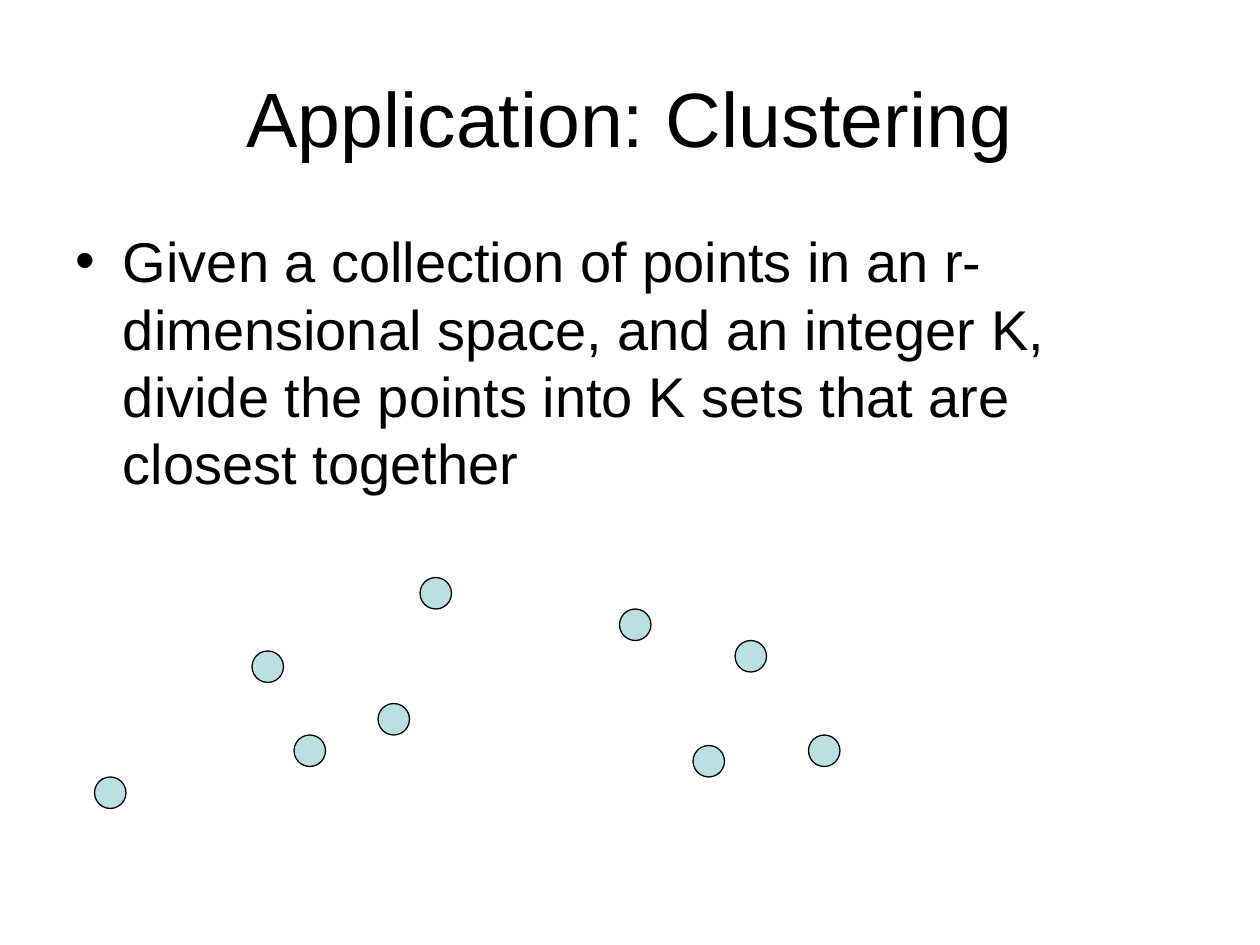
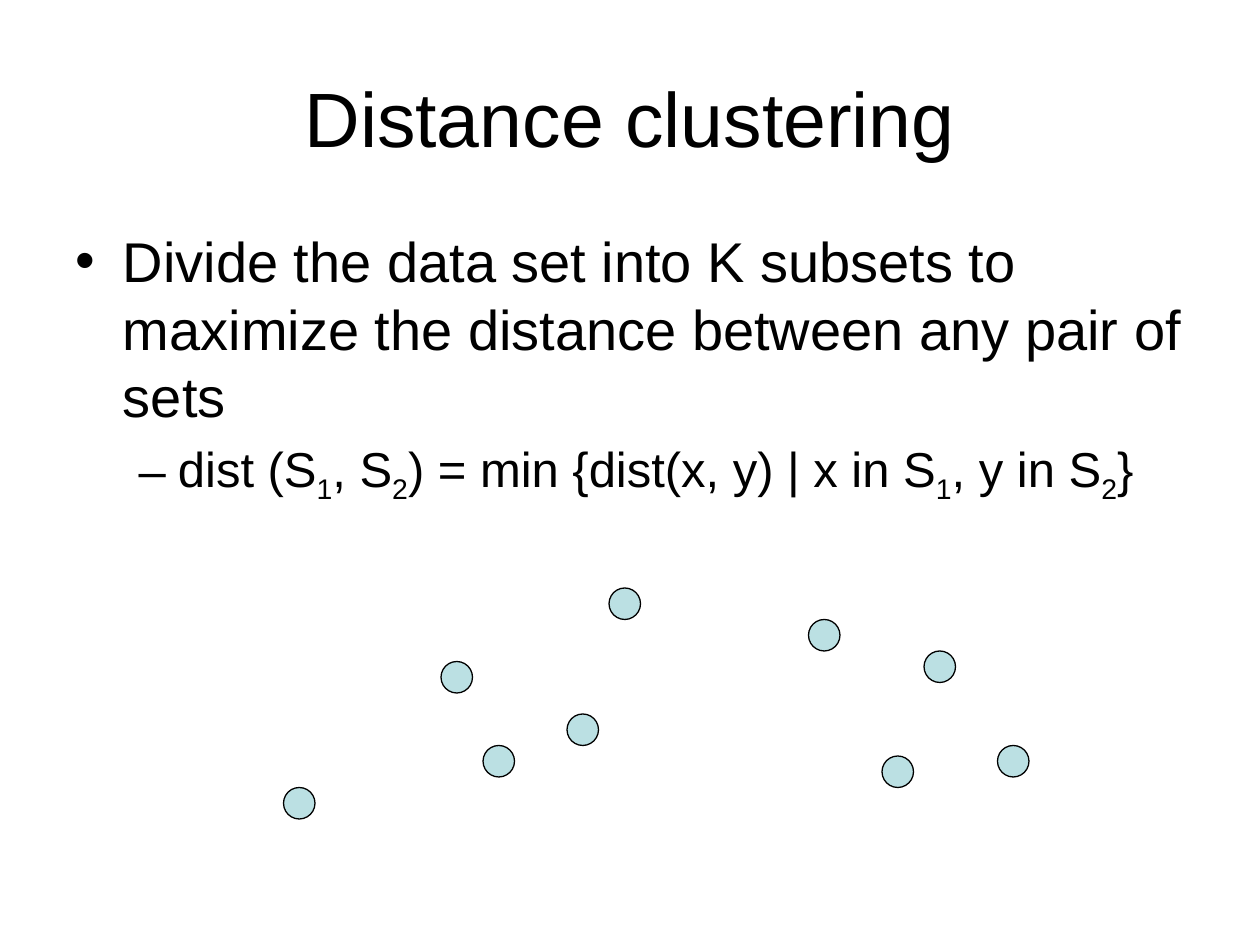
from dataclasses import dataclass

from pptx import Presentation
from pptx import util as u
from pptx.dml.color import RGBColor
from pptx.enum import shapes, text


@dataclass(frozen=True)
class Theme:
    font: str = "Arial"
    ink: RGBColor = RGBColor(0, 0, 0)
    dot: RGBColor = RGBColor(0xBB, 0xE0, 0xE3)
    title_size: int = 44
    body_sizes: tuple = (32, 28)  # by list level
    line_width: float = 0.75


THEME = Theme()
GRID = 12  # grid steps per inch
DOT_SIZE = 0.25

# Top left corners of the data points, in grid steps
POINTS = [(24, 62), (36, 67), (59, 58), (66, 71), (70, 61),
          (28, 70), (9, 74), (77, 70), (40, 55)]


def place(sp, left, top, width, height):
    sp.left, sp.top = u.Inches(left), u.Inches(top)
    sp.width, sp.height = u.Inches(width), u.Inches(height)


def add_text(p, content, size, align=None, level=0):
    """Fill a paragraph; an underscore makes the next character a subscript."""
    p.alignment, p.level = align, level

    def add_run(part, subscript=False):
        if not part:
            return
        r = p.add_run()
        r.text = part
        r.font.name, r.font.size = THEME.font, u.Pt(size)
        r.font.color.rgb = THEME.ink
        if subscript:
            r._r.get_or_add_rPr().set("baseline", "-25000")

    first, *rest = content.split("_")
    add_run(first)
    for part in rest:
        add_run(part[0], subscript=True)
        add_run(part[1:])


def add_title(s, content):
    sp = s.shapes.title
    place(sp, 0.5, 0.3, 9, 1.25)
    tf = sp.text_frame
    tf.auto_size = text.MSO_AUTO_SIZE.NONE
    tf.vertical_anchor = text.MSO_ANCHOR.MIDDLE
    add_text(tf.paragraphs[0], content, THEME.title_size,
             align=text.PP_ALIGN.CENTER)


def add_body(s, items, height):
    """Write (level, text) items into the bulleted body placeholder."""
    sp = s.placeholders[1]
    place(sp, 0.5, 1.75, 9, height)
    tf = sp.text_frame
    tf.auto_size = text.MSO_AUTO_SIZE.NONE
    for i, (level, content) in enumerate(items):
        p = tf.add_paragraph() if i else tf.paragraphs[0]
        add_text(p, content, THEME.body_sizes[level], level=level)


def add_points(s, dx=0, dy=0):
    """Draw the data set, shifted by dx and dy grid steps."""
    for x, y in POINTS:
        sp = s.shapes.add_shape(
            shapes.MSO_SHAPE.OVAL,
            u.Inches((x + dx) / GRID), u.Inches((y + dy) / GRID),
            u.Inches(DOT_SIZE), u.Inches(DOT_SIZE))
        sp.shadow.inherit = False
        sp.fill.solid()
        sp.fill.fore_color.rgb = THEME.dot
        sp.line.color.rgb = THEME.ink
        sp.line.width = u.Pt(THEME.line_width)


def add_slide(prs, title, items, body_height, shift=(0, 0)):
    s = prs.slides.add_slide(prs.slide_layouts[1])
    add_title(s, title)
    add_body(s, items, body_height)
    add_points(s, *shift)


def main():
    prs = Presentation()
    prs.slide_width, prs.slide_height = u.Inches(10), u.Inches(7.5)

    # The clustering problem
    add_slide(prs, "Application: Clustering", [
        (0, "Given a collection of points in an r-dimensional space, and an "
            "integer K, divide the points into K sets that are closest "
            "together"),
    ], body_height=2.5)

    # Distance between clusters
    add_slide(prs, "Distance clustering", [
        (0, "Divide the data set into K subsets to maximize the distance "
            "between any pair of sets"),
        (1, "dist (S_1, S_2) = min {dist(x, y) | x in S_1, y in S_2}"),
    ], body_height=2.67, shift=(18, 1))

    prs.save("out.pptx")


if __name__ == "__main__":
    main()
